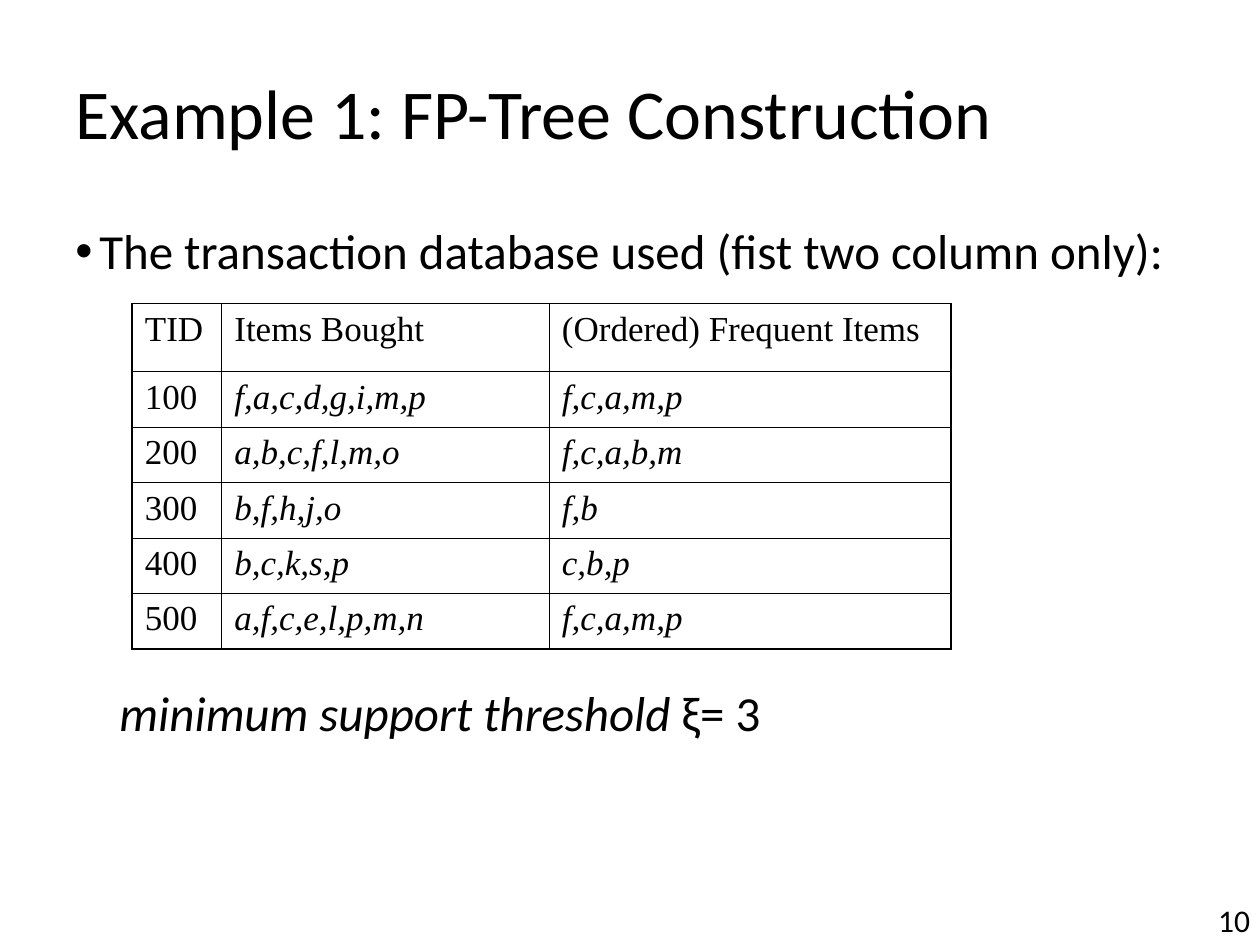
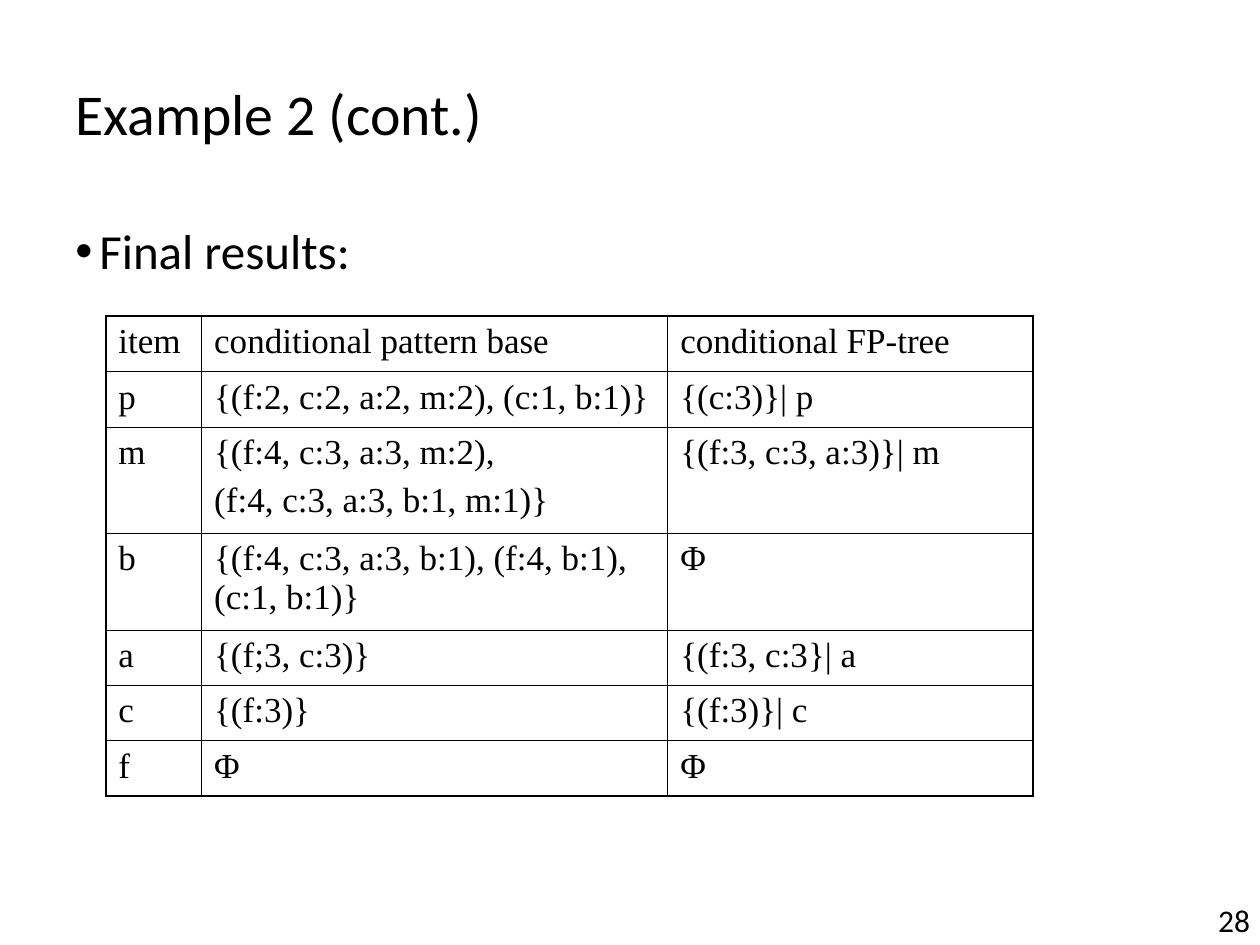
"""Build two slides on FP-tree examples, each with a ruled table."""
from dataclasses import dataclass

import lxml.etree
import pptx
import pptx.dml.color
import pptx.enum.text
import pptx.oxml.ns
import pptx.util
from pptx.util import Inches

INK = "000000"
SANS = "Calibri"
SERIF = "Times New Roman"
THICK, THIN = 1.08, 0.45
ROW = 0.44
INDENT = 0.19


@dataclass
class Box:
    left: float
    top: float
    width: float
    height: float


@dataclass
class Grid:
    left: float
    top: float
    widths: list[float]
    heights: list[float]
    rows: list[list[str]]
    slanted: bool = False


@dataclass
class Page:
    number: int
    title: str
    size: int
    lead: str
    grid: Grid


TITLE = Box(0.5, 0.3, 9, 1.25)
LEAD = Box(0.5, 1.75, 9.2, 0.55)
LIMIT = Box(0.85, 5.42, 6, 0.55)
NUMBER = Box(9.57, 7.1, 0.59, 0.41)

PAGES = [
    Page(10, "Example 1: FP-Tree Construction", 40,
         "The transaction database used (fist two column only):",
         Grid(1.05, 2.41, [0.71, 2.6, 3.19], [0.54] + [ROW] * 5, [
             ["TID", "Items Bought", "(Ordered) Frequent Items"],
             ["100", "f,a,c,d,g,i,m,p", "f,c,a,m,p"],
             ["200", "a,b,c,f,l,m,o", "f,c,a,b,m"],
             ["300", "b,f,h,j,o", "f,b"],
             ["400", "b,c,k,s,p", "c,b,p"],
             ["500", "a,f,c,e,l,p,m,n", "f,c,a,m,p"],
         ], slanted=True)),
    Page(28, "Example 2 (cont.)", 33, "Final results:",
         Grid(0.84, 2.51, [0.76, 3.7, 2.9],
              [ROW, ROW, 0.84, 0.77, ROW, ROW, ROW], [
             ["item", "conditional pattern base", "conditional FP-tree"],
             ["p", "{(f:2, c:2, a:2, m:2), (c:1, b:1)}", "{(c:3)}| p"],
             ["m", "{(f:4, c:3, a:3, m:2),\n(f:4, c:3, a:3, b:1, m:1)}",
              "{(f:3, c:3, a:3)}| m"],
             ["b", "{(f:4, c:3, a:3, b:1), (f:4, b:1), (c:1, b:1)}", "Φ"],
             ["a", "{(f;3, c:3)}", "{(f:3, c:3}| a"],
             ["c", "{(f:3)}", "{(f:3)}| c"],
             ["f", "Φ", "Φ"],
         ])),
]


def color(code: str) -> pptx.dml.color.RGBColor:
    """Turn a hex string into a colour."""
    return pptx.dml.color.RGBColor.from_string(code)


def node(root, tag: str, **attrs: str):
    """Add a drawing element to the root."""
    return lxml.etree.SubElement(root, pptx.oxml.ns.qn(tag), attrs)


def style(run, size: float, face: str, slant: bool = False) -> None:
    """Set the font of one run."""
    run.font.size = pptx.util.Pt(size)
    run.font.name = face
    run.font.italic = slant
    run.font.color.rgb = color(INK)


def write(slide, box: Box, text: str, size: float, spacing: float = 0.9):
    """Add a text box with one line and return its paragraph."""
    shape = slide.shapes.add_textbox(
        Inches(box.left), Inches(box.top), Inches(box.width), Inches(box.height))
    frame = shape.text_frame
    frame.word_wrap = True
    if box is TITLE:
        frame.vertical_anchor = pptx.enum.text.MSO_ANCHOR.MIDDLE
    line = frame.paragraphs[0]
    line.text = text
    line.line_spacing = spacing
    for run in line.runs:
        style(run, size, SANS)
    return line


def bullet(line) -> None:
    """Give the paragraph a hanging bullet."""
    props = line._p.get_or_add_pPr()
    props.set("marL", str(Inches(INDENT)))
    props.set("indent", str(-Inches(INDENT)))
    node(node(props, "a:buClr"), "a:srgbClr", val=INK)
    node(props, "a:buFont", typeface="Arial")
    node(props, "a:buChar", char="•")


def rule(cell, outer: dict[str, bool]) -> None:
    """Draw the cell's edges, thick where they are outer."""
    props = cell._tc.get_or_add_tcPr()
    for side, thick in outer.items():
        width = pptx.util.Pt(THICK if thick else THIN)
        edge = node(props, f"a:ln{side}", w=str(width))
        node(node(edge, "a:solidFill"), "a:srgbClr", val=INK)


def draw(slide, grid: Grid) -> None:
    """Draw the grid as a table."""
    last, end = len(grid.heights) - 1, len(grid.widths) - 1
    table = slide.shapes.add_table(
        last + 1, end + 1, Inches(grid.left), Inches(grid.top),
        Inches(sum(grid.widths)), Inches(sum(grid.heights))).table
    table.first_row = table.horz_banding = False
    for col, width in zip(table.columns, grid.widths):
        col.width = Inches(width)
    for row, height in zip(table.rows, grid.heights):
        row.height = Inches(height)
    for r, texts in enumerate(grid.rows):
        for c, text in enumerate(texts):
            cell = table.cell(r, c)
            rule(cell, {"L": c == 0, "R": c == end, "T": r == 0, "B": r == last})
            cell.fill.background()
            cell.text_frame.text = text
            for i, line in enumerate(cell.text_frame.paragraphs):
                if i:
                    line.space_before = pptx.util.Pt(5)
                for run in line.runs:
                    style(run, 20, SERIF, grid.slanted and r > 0 and c > 0)


def build(deck, page: Page):
    """Add one slide with what all pages share."""
    slide = deck.slides.add_slide(deck.slide_layouts[6])
    write(slide, NUMBER, str(page.number), 18, 1.0)
    write(slide, TITLE, page.title, page.size)
    bullet(write(slide, LEAD, page.lead, 28))
    draw(slide, page.grid)
    return slide


def main() -> None:
    """Build and save the deck."""
    deck = pptx.Presentation()
    deck.slide_width, deck.slide_height = Inches(10), Inches(7.5)
    first, _ = [build(deck, page) for page in PAGES]
    limit = write(first, LIMIT, "minimum support threshold", 28)
    limit.runs[0].font.italic = True
    value = limit.add_run()
    value.text = " ξ= 3"
    style(value, 28, SANS)
    deck.save("out.pptx")


if __name__ == "__main__":
    main()
